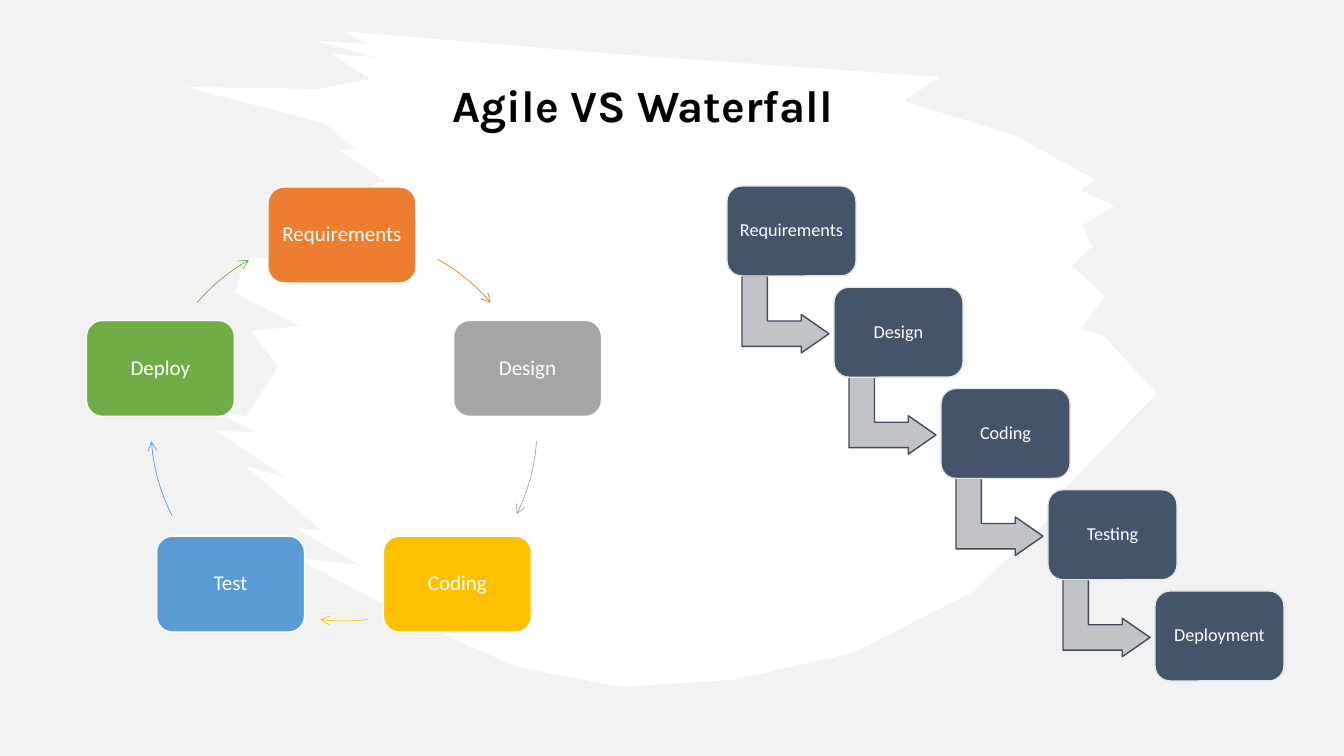
"""Builds the Agile VS Waterfall slide: a cycle of five stages beside a staircase of five steps."""
from math import cos, radians, sin

from lxml.etree import SubElement
from pptx import Presentation
from pptx.dml.color import RGBColor
from pptx.enum.shapes import MSO_SHAPE
from pptx.enum.text import MSO_ANCHOR, MSO_AUTO_SIZE, PP_ALIGN
from pptx.oxml.ns import qn
from pptx.util import Pt

WIDTH, HEIGHT = 1344, 756
SCALE = 914400 / 100.8

TITLE = "Agile VS Waterfall"
TITLE_BOX = (388, 72, 510, 65)

AGILE = [
    ("Requirements", "ED7D31", -2, (29, 49.5)),
    ("Design", "A5A5A5", 0, (94, 116.5)),
    ("Coding", "FFC000", 0, (173, 187)),
    ("Test", "5B9BD5", 0, (243, 266)),
    ("Deploy", "70AD47", 0, (310.5, 330.5)),
]
CYCLE_X, CYCLE_Y, RADIUS = 344, 428, 193
STAGE_W, STAGE_H = 148, 96
ARC_STEPS = 12

WATERFALL = ["Requirements", "Design", "Coding", "Testing", "Deployment"]
STAIR_X, STAIR_Y, STAIR_W, STAIR_H = 727, 186, 129, 90
STAIR_RUN, STAIR_DROP = 428, 405
ARROW_DX, ARROW_DY, ARROW_W, ARROW_H = 20, 85, 77, 87

BRUSH = [
    (341, 31), (369, 44), (315, 41), (375, 57), (332, 54), (370, 79), (317, 89), (186, 87),
    (326, 124), (355, 149), (338, 150), (386, 181), (368, 186), (405, 215), (266, 206),
    (337, 242), (385, 258), (245, 258), (235, 293), (300, 326), (251, 331), (278, 367),
    (246, 416), (218, 413), (255, 432), (216, 431), (287, 478), (244, 465), (321, 530),
    (295, 528), (359, 565), (294, 557), (347, 585), (422, 625), (517, 667), (621, 687),
    (732, 680), (853, 653), (971, 593), (1057, 512), (1060, 494), (1132, 419), (1157, 394),
    (1104, 336), (1081, 329), (1105, 296), (1072, 266), (1092, 247), (1083, 225),
    (1115, 206), (1081, 190), (1096, 180), (1016, 136), (904, 101), (940, 77), (614, 54),
]


def emu(px):
    return round(px * SCALE)


def color(hex_string):
    return RGBColor.from_string(hex_string)


def write(shape, text, size, font="Calibri", fill="FFFFFF", bold=False, inset=6, spacing=0.9):
    frame = shape.text_frame
    frame.word_wrap = True
    frame.auto_size = MSO_AUTO_SIZE.NONE
    frame.vertical_anchor = MSO_ANCHOR.MIDDLE
    frame.margin_left = frame.margin_right = frame.margin_top = frame.margin_bottom = emu(inset)
    paragraph = frame.paragraphs[0]
    paragraph.alignment = PP_ALIGN.CENTER
    paragraph.line_spacing = spacing
    run = paragraph.add_run()
    run.text = text
    run.font.name, run.font.size, run.font.bold = font, Pt(size), bold
    run.font.color.rgb = color(fill)


def paint(shape, fill=None, line=None, width=1):
    shape.shadow.inherit = False
    if fill:
        shape.fill.solid()
        shape.fill.fore_color.rgb = color(fill)
    else:
        shape.fill.background()
    if line:
        shape.line.color.rgb = color(line)
        shape.line.width = Pt(width)
    else:
        shape.line.fill.background()


def add_preset(slide, preset, box, **look):
    shape = slide.shapes.add_shape(preset, *map(emu, box))
    paint(shape, **look)
    return shape


def add_background(slide, title):
    builder = slide.shapes.build_freeform(*BRUSH[0], scale=SCALE)
    builder.add_line_segments(BRUSH[1:], close=True)
    builder.move_to(0, 0)
    builder.add_line_segments([(WIDTH, 0), (WIDTH, HEIGHT), (0, HEIGHT)], close=True)
    backdrop = builder.convert_to_shape()
    paint(backdrop, fill="E7E6E6")
    tint = backdrop.element.spPr.find(qn("a:solidFill"))[0]
    SubElement(tint, qn("a:alpha"), val="50000")
    title.element.addprevious(backdrop.element)


def on_cycle(degrees):
    angle = radians(degrees)
    return CYCLE_X + RADIUS * sin(angle), CYCLE_Y - RADIUS * cos(angle)


def add_agile(slide):
    for index, (stage, hue, shift, (start, end)) in enumerate(AGILE):
        x, y = on_cycle(index * 360 / len(AGILE))
        box = (x + shift - STAGE_W / 2, y - STAGE_H / 2, STAGE_W, STAGE_H)
        write(add_preset(slide, MSO_SHAPE.ROUNDED_RECTANGLE, box, fill=hue, line="FFFFFF"), stage, 15)

        arc = [tuple(map(emu, on_cycle(start + (end - start) * step / ARC_STEPS)))
               for step in range(ARC_STEPS + 1)]
        builder = slide.shapes.build_freeform(*arc[0])
        builder.add_line_segments(arc[1:], close=False)
        arrow = builder.convert_to_shape()
        paint(arrow, line=hue, width=0.5)
        SubElement(arrow.element.spPr.find(qn("a:ln")), qn("a:tailEnd"), type="arrow")


def add_waterfall(slide):
    gaps = len(WATERFALL) - 1
    for index, step in enumerate(WATERFALL):
        x = STAIR_X + index * STAIR_RUN / gaps
        y = STAIR_Y + index * STAIR_DROP / gaps
        if index < gaps:
            arrow = add_preset(slide, MSO_SHAPE.BENT_UP_ARROW,
                               (x + ARROW_DX, y + ARROW_DY, ARROW_W, ARROW_H),
                               fill="C1C3C7", line="3E4C60")
            arrow.rotation = 90
            for place, value in enumerate((0.33, 0.25, 0.36)):
                arrow.adjustments[place] = value
        box = add_preset(slide, MSO_SHAPE.ROUNDED_RECTANGLE, (x, y, STAIR_W, STAIR_H),
                         fill="44546A", line="E7E6E6")
        write(box, step, 13, inset=5)


def main():
    deck = Presentation()
    deck.slide_width, deck.slide_height = emu(WIDTH), emu(HEIGHT)
    slide = deck.slides.add_slide(deck.slide_layouts[5])
    title = slide.shapes.title
    title.left, title.top, title.width, title.height = map(emu, TITLE_BOX)
    write(title, TITLE, 32, font="Karla", fill="000000", bold=True, spacing=1)
    add_background(slide, title)
    add_agile(slide)
    add_waterfall(slide)
    deck.save("out.pptx")


if __name__ == "__main__":
    main()
